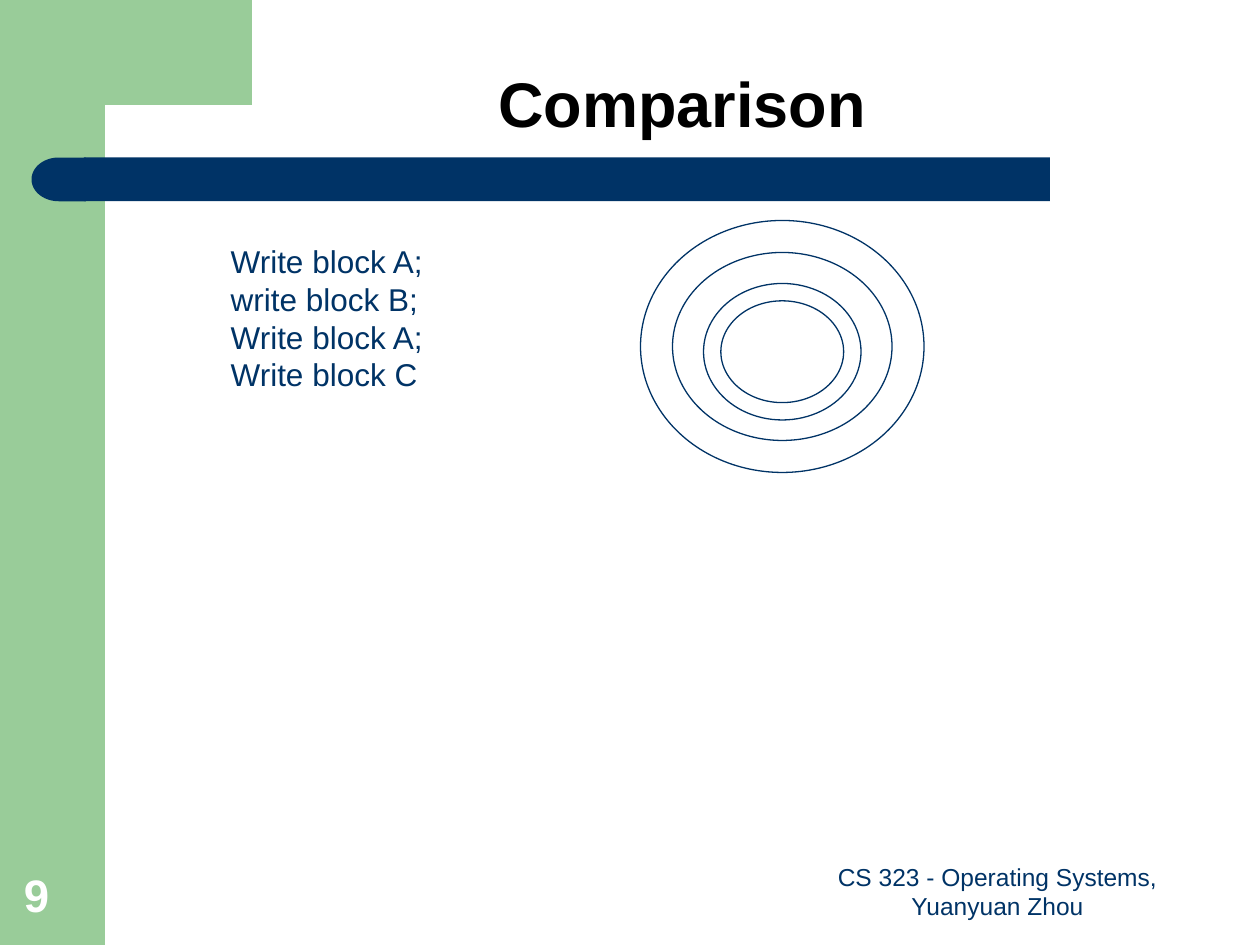
import dataclasses

import pptx
import pptx.dml.color
import pptx.enum.shapes
import pptx.enum.text
import pptx.util

Pt = pptx.util.Pt
RGBColor = pptx.dml.color.RGBColor
Shape = pptx.enum.shapes.MSO_SHAPE
Align = pptx.enum.text.PP_ALIGN
Anchor = pptx.enum.text.MSO_ANCHOR
AutoSize = pptx.enum.text.MSO_AUTO_SIZE

GREEN = RGBColor(0x99, 0xCC, 0x99)
NAVY = RGBColor(0x00, 0x33, 0x66)
BLACK = RGBColor(0x00, 0x00, 0x00)
WHITE = RGBColor(0xFF, 0xFF, 0xFF)


@dataclasses.dataclass
class Area:
    left: float
    top: float
    width: float
    height: float

    def lengths(self) -> list:
        return [Pt(value) for value in dataclasses.astuple(self)]


@dataclasses.dataclass
class Label:
    lines: list[str]
    area: Area
    font: dict
    paragraph: dict
    frame: dict


def paint(shape, color: RGBColor) -> None:
    shape.shadow.inherit = False
    shape.fill.solid()
    shape.fill.fore_color.rgb = color
    shape.line.fill.background()


def add_band(page, kind, area: Area, color: RGBColor):
    band = page.shapes.add_shape(kind, *area.lengths())
    paint(band, color)
    return band


def add_ring(page, area: Area) -> None:
    ring = page.shapes.add_shape(Shape.DONUT, *area.lengths())
    ring.adjustments[0] = 0.127
    ring.shadow.inherit = False
    ring.fill.background()
    ring.line.color.rgb = NAVY
    ring.line.width = Pt(0.75)


def set_all(target, values: dict) -> None:
    for name, value in values.items():
        setattr(target, name, value)


def write_label(box, label: Label) -> None:
    box.left, box.top, box.width, box.height = label.area.lengths()
    frame = box.text_frame
    set_all(frame, {"word_wrap": True, "auto_size": AutoSize.NONE,
                    "vertical_anchor": Anchor.BOTTOM} | label.frame)
    for index, line in enumerate(label.lines):
        para = frame.add_paragraph() if index else frame.paragraphs[0]
        set_all(para, label.paragraph)
        span = para.add_run()
        span.text = line
        font = {"name": "Arial", "color": NAVY} | label.font
        span.font.color.rgb = font.pop("color")
        set_all(span.font, font)


TITLE = Label(["Comparison"], Area(83.5, 5.75, 612.75, 78.5),
              {"size": Pt(36), "bold": True, "color": BLACK},
              {"alignment": Align.CENTER, "line_spacing": 0.9}, {})

LABELS = [
    Label(["Write block A;", "write block B;", "Write block A;", "Write block C"],
          Area(124.75, 134.75, 130.5, 93.75), {"size": Pt(18)}, {},
          {"word_wrap": False, "auto_size": AutoSize.SHAPE_TO_FIT_TEXT,
           "vertical_anchor": Anchor.TOP}),
    Label(["CS 323 - Operating Systems, Yuanyuan Zhou"],
          Area(456, 492, 228, 37.5), {"size": Pt(14)},
          {"alignment": Align.CENTER}, {}),
    Label(["9"], Area(6.5, 492, 46, 38),
          {"size": Pt(26), "bold": True, "color": WHITE}, {}, {}),
]

RINGS = [Area(366, 126, 162, 144), Area(402, 162, 90, 78)]

# The lower right corner lies over the side band, so straight edges suffice
CORNER = [(36, 0), (144, 0), (144, 60), (60, 60), (48, 92), (36, 92)]


def main() -> None:
    deck = pptx.Presentation()
    deck.slide_width, deck.slide_height = Pt(720), Pt(540)
    page = deck.slides.add_slide(deck.slide_layouts[5])

    # Green side band and corner
    add_band(page, Shape.RECTANGLE, Area(0, 0, 60, 540), GREEN)
    start, *rest = [(Pt(x), Pt(y)) for x, y in CORNER]
    builder = page.shapes.build_freeform(*start)
    builder.add_line_segments(rest, close=True)
    paint(builder.convert_to_shape(), GREEN)

    # Navy bar with a round left end
    bar = add_band(page, Shape.ROUNDED_RECTANGLE, Area(48, 90, 552, 25), NAVY)
    bar.adjustments[0] = 0
    cap = add_band(page, Shape.FLOWCHART_DELAY, Area(18, 90, 31, 25), NAVY)
    cap.rotation = 180

    # Title, placed in front of the bands
    title = page.shapes.title
    write_label(title, TITLE)
    title.element.getparent().append(title.element)

    # Disk tracks
    for area in RINGS:
        add_ring(page, area)

    # Write sequence, footer and page number
    for label in LABELS:
        write_label(page.shapes.add_textbox(*label.area.lengths()), label)

    deck.save("out.pptx")


if __name__ == "__main__":
    main()
